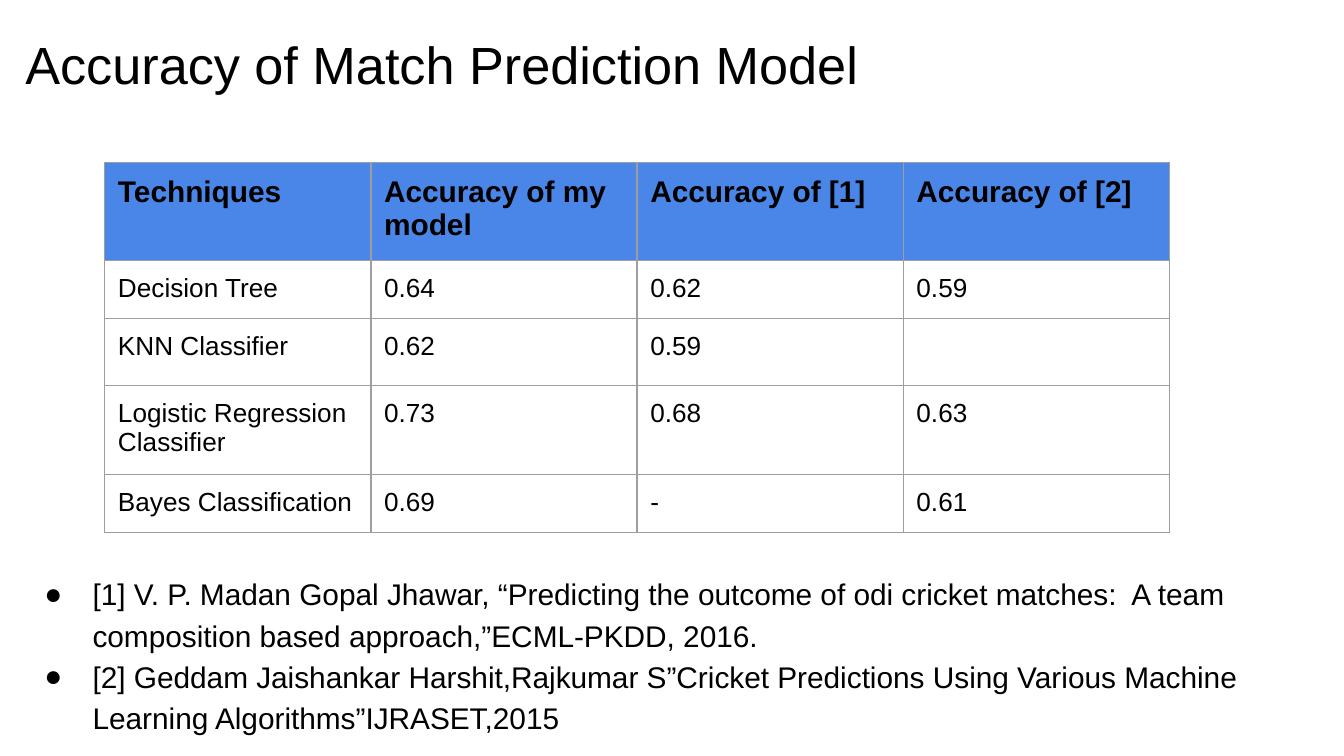
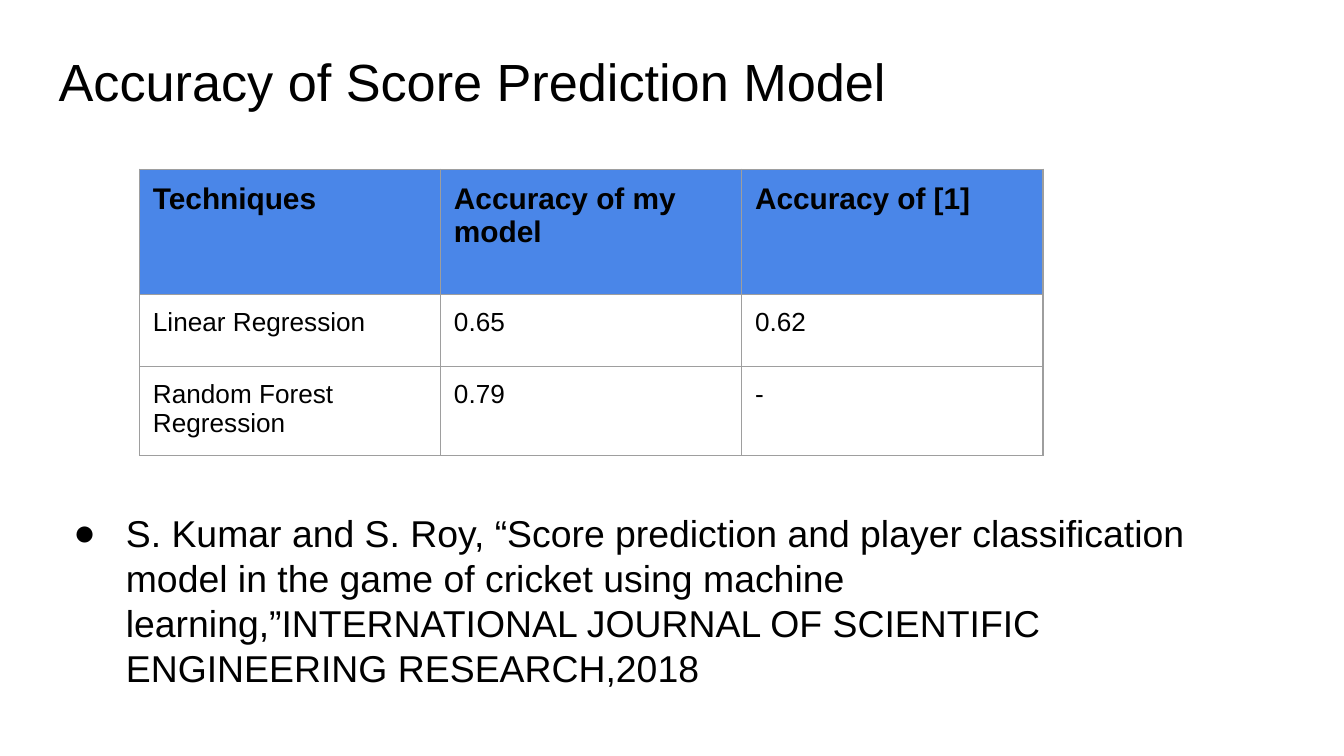
from pptx import Presentation
from pptx.dml.color import RGBColor
from pptx.enum.text import MSO_ANCHOR
from pptx.oxml import parse_xml
from pptx.oxml.ns import nsdecls
from pptx.util import Cm, Pt

BLACK = RGBColor(0x00, 0x00, 0x00)
WHITE = RGBColor(0xFF, 0xFF, 0xFF)
HEADER_BLUE = RGBColor(0x4A, 0x86, 0xE8)
BORDER_GRAY = RGBColor(0x9E, 0x9E, 0x9E)
FONT = "Arial"
INSET = Cm(0.25)
TITLE_SIZE, HEADER_SIZE, CELL_SIZE = 28, 16, 14


class AccuracyDeck:
    def __init__(self):
        self.deck = Presentation()
        self.deck.slide_width = Cm(25.4)
        self.deck.slide_height = Cm(14.29)
        self.page = None

    def add_page(self):
        self.page = self.deck.slides.add_slide(self.deck.slide_layouts[6])
        fill = self.page.background.fill
        fill.solid()
        fill.fore_color.rgb = WHITE

    def style_text(self, paragraph, size, bold=False):
        for span in paragraph.runs:
            span.font.name = FONT
            span.font.size = Pt(size)
            span.font.bold = bold
            span.font.color.rgb = BLACK

    def add_box(self, left, top, width, height):
        box = self.page.shapes.add_textbox(Cm(left), Cm(top), Cm(width), Cm(height))
        frame = box.text_frame
        frame.word_wrap = True
        frame.vertical_anchor = MSO_ANCHOR.TOP
        frame.margin_left = frame.margin_right = INSET
        frame.margin_top = frame.margin_bottom = INSET
        return frame

    def add_title(self, text, left, top, width, height):
        frame = self.add_box(left, top, width, height)
        frame.text = text
        self.style_text(frame.paragraphs[0], TITLE_SIZE)

    def add_references(self, texts, left, top, width, height, size, hanging, spacing):
        frame = self.add_box(left, top, width, height)
        frame.text = "\n".join(texts)
        for paragraph in frame.paragraphs:
            paragraph.line_spacing = spacing
            self.style_text(paragraph, size)
            properties = paragraph._p.get_or_add_pPr()
            properties.set("marL", str(Cm(1.27)))
            properties.set("indent", str(-Cm(hanging)))
            for bullet in (
                f'<a:buClr {nsdecls("a")}><a:srgbClr val="{BLACK}"/></a:buClr>',
                f'<a:buFont {nsdecls("a")} typeface="{FONT}"/>',
                f'<a:buChar {nsdecls("a")} char="●"/>',
            ):
                properties.append(parse_xml(bullet))

    def style_cell(self, cell, is_header):
        cell.margin_left = cell.margin_right = INSET
        cell.margin_top = cell.margin_bottom = INSET
        size = HEADER_SIZE if is_header else CELL_SIZE
        self.style_text(cell.text_frame.paragraphs[0], size, is_header)
        properties = cell._tc.get_or_add_tcPr()
        for side in ("lnL", "lnR", "lnT", "lnB"):
            properties.append(parse_xml(
                f'<a:{side} {nsdecls("a")} w="{Pt(0.75)}"><a:solidFill>'
                f'<a:srgbClr val="{BORDER_GRAY}"/></a:solidFill></a:{side}>'
            ))
        if is_header:
            cell.fill.solid()
            cell.fill.fore_color.rgb = HEADER_BLUE
        else:
            cell.fill.background()

    def add_table(self, rows, left, top, column_width, row_heights):
        column_count = len(rows[0])
        table = self.page.shapes.add_table(
            len(rows), column_count, Cm(left), Cm(top),
            Cm(column_width * column_count), Cm(sum(row_heights)),
        ).table
        table.first_row = table.horz_banding = False
        for column in table.columns:
            column.width = Cm(column_width)
        for row_index, (values, height) in enumerate(zip(rows, row_heights)):
            table.rows[row_index].height = Cm(height)
            for column_index, value in enumerate(values):
                cell = table.cell(row_index, column_index)
                if value:
                    cell.text_frame.text = value
                self.style_cell(cell, row_index == 0)


def main():
    slides = AccuracyDeck()

    slides.add_page()
    slides.add_title("Accuracy of Match Prediction Model", 0.23, 0.36, 25.17, 1.52)
    slides.add_references(
        [
            "[1] V. P. Madan Gopal Jhawar, “Predicting the outcome of odi cricket matches:  A team composition based approach,”ECML-PKDD, 2016.",
            "[2] Geddam Jaishankar Harshit,Rajkumar S”Cricket Predictions Using Various Machine Learning Algorithms”IJRASET,2015",
        ],
        0.23, 10.54, 24.97, 3.43, size=16, hanging=0.91, spacing=1.15,
    )
    slides.add_table(
        [
            ["Techniques", "Accuracy of my model", "Accuracy of [1]", "Accuracy of [2]"],
            ["Decision Tree", "0.64", "0.62", "0.59"],
            ["KNN Classifier", "0.62", "0.59", ""],
            ["Logistic Regression Classifier", "0.73", "0.68", "0.63"],
            ["Bayes Classification", "0.69", "-", "0.61"],
        ],
        1.98, 3.07, 5.03, [1.07] * 5,
    )

    slides.add_page()
    slides.add_title("Accuracy of Score Prediction Model", 0.86, 0.69, 23.67, 1.6)
    slides.add_references(
        [
            "S. Kumar and S. Roy, “Score prediction and player classification model in the game of cricket using machine learning,”INTERNATIONAL JOURNAL OF SCIENTIFIC ENGINEERING RESEARCH,2018",
        ],
        0.86, 9.4, 23.67, 4.57, size=20, hanging=0.99, spacing=1.0,
    )
    slides.add_table(
        [
            ["Techniques", "Accuracy of my model", "Accuracy of [1]"],
            ["Linear Regression", "0.65", "0.62"],
            ["Random Forest Regression", "0.79", "-"],
        ],
        2.64, 3.2, 5.69, [2.36, 1.37, 1.32],
    )

    slides.deck.save("out.pptx")


if __name__ == "__main__":
    main()
